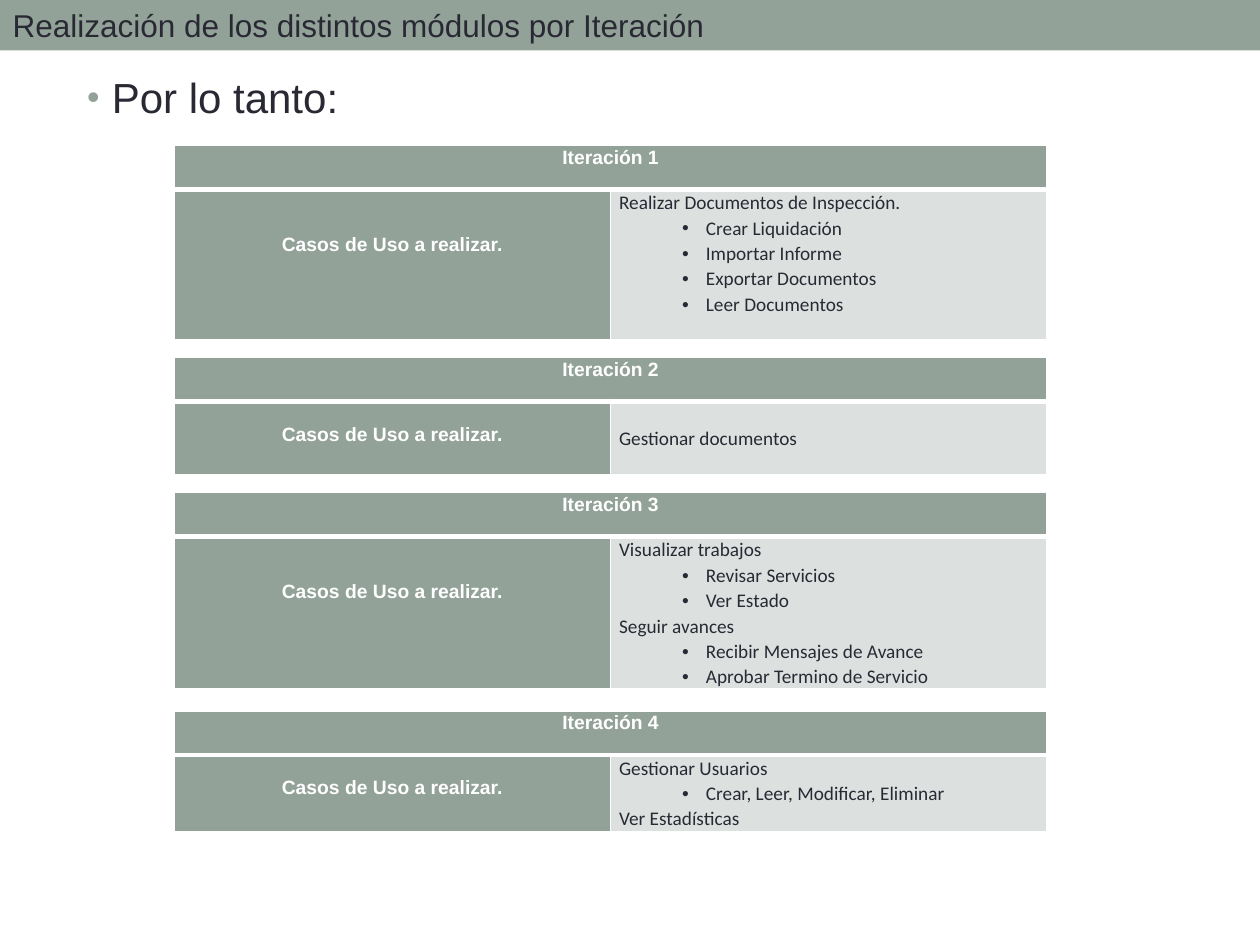
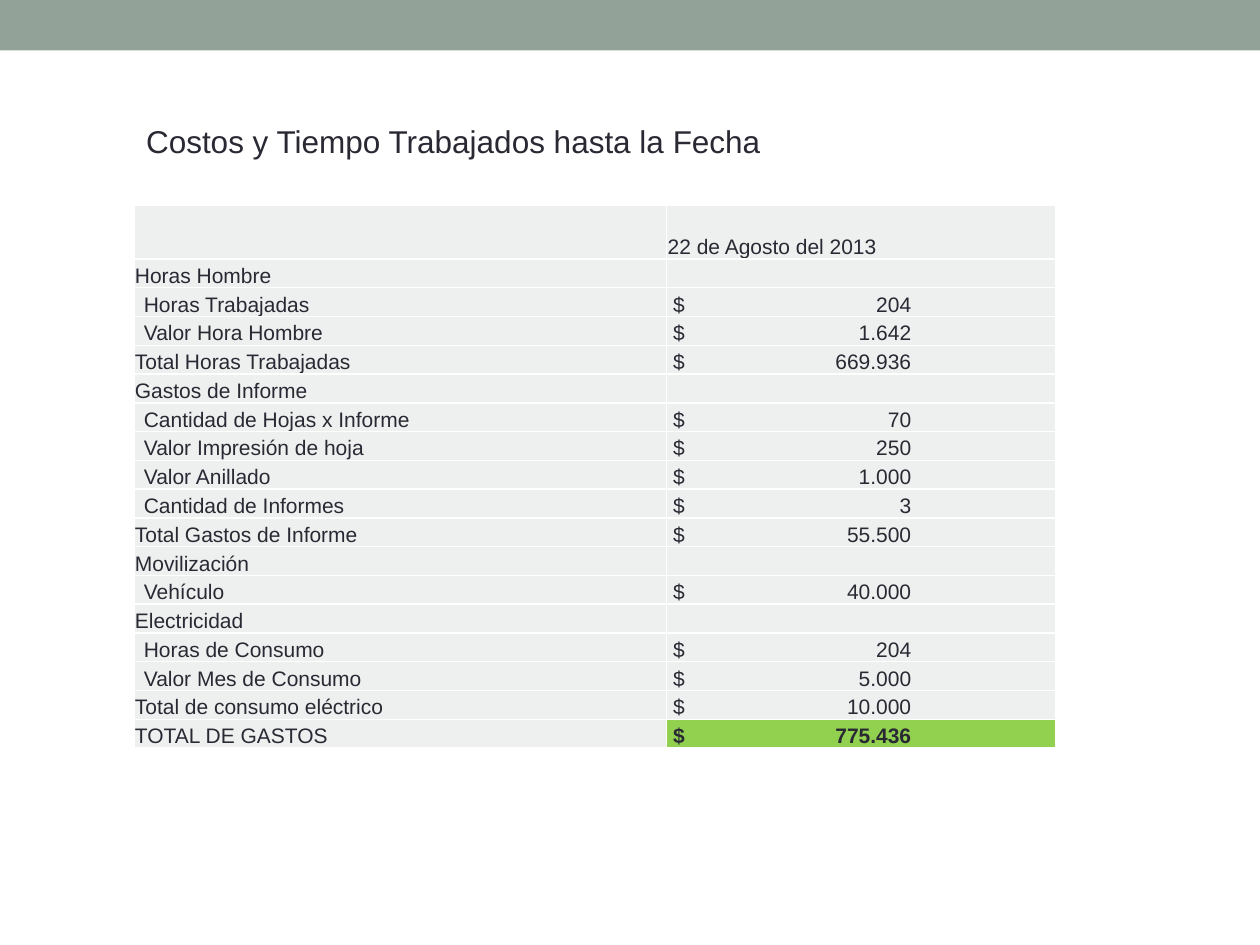
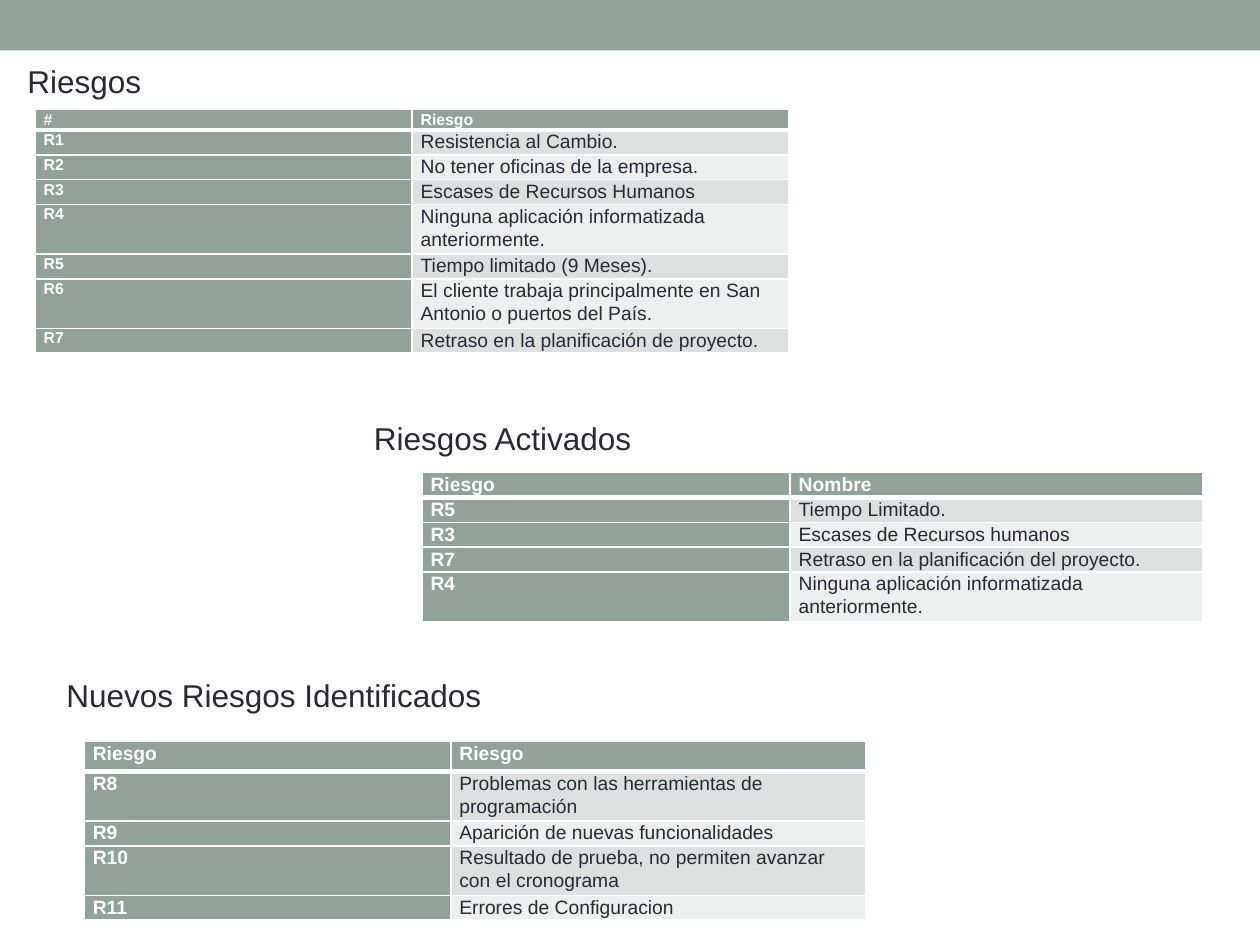
import dataclasses

import lxml.etree
import pptx
import pptx.dml.color
import pptx.enum.shapes
import pptx.enum.text
import pptx.oxml.ns
import pptx.util

Cm = pptx.util.Cm
Pt = pptx.util.Pt
RGB = pptx.dml.color.RGBColor.from_string
qn = pptx.oxml.ns.qn
ALIGN = pptx.enum.text.PP_ALIGN
ANCHOR = pptx.enum.text.MSO_ANCHOR


@dataclasses.dataclass(frozen=True)
class Theme:
    sage: str = "93A299"
    ink: str = "292934"
    white: str = "FFFFFF"
    band_dark: str = "DCE0DE"
    band_light: str = "EEF0EF"
    total: str = "92D050"
    font: str = "Arial"
    list_font: str = "Calibri"
    heading: int = 18
    body: int = 24
    amount: int = 12
    cell: int = 11
    small: int = 9


theme = Theme()


def add_grid(slide, left, top, widths, heights):
    """Add a table with the given column widths and row heights, in cm."""
    table = slide.shapes.add_table(len(heights), len(widths), Cm(left), Cm(top),
                                   Cm(sum(widths)), Cm(sum(heights))).table
    table.first_row = table.horz_banding = False
    for column, width in zip(table.columns, widths):
        column.width = Cm(width)
    for row, height in zip(table.rows, heights):
        row.height = Cm(height)
    return table


def set_cell(cell, text, fill, color=theme.white, size=theme.cell, bold=False,
             font=theme.font, align=ALIGN.LEFT, spacing=1.07, anchor=ANCHOR.TOP,
             margins=(0.17, 0, 0.17, 0), rule=1):
    """Write and format one cell; rule is the width of its bottom border."""
    cell.margin_left, cell.margin_top, cell.margin_right, cell.margin_bottom = map(Cm, margins)
    cell.vertical_anchor = anchor
    cell.fill.solid()
    cell.fill.fore_color.rgb = RGB(fill)
    cell.text_frame.text = text
    for p in cell.text_frame.paragraphs:
        p.alignment = align
        p.line_spacing = spacing
        for r in p.runs:
            r.font.name, r.font.size, r.font.bold = font, Pt(size), bold
            r.font.color.rgb = RGB(color)
        if not p.runs:
            lxml.etree.SubElement(p._p, qn("a:endParaRPr"), sz=str(size * 100))
    tcPr = cell._tc.get_or_add_tcPr()
    for i, (side, width) in enumerate((("lnL", 1), ("lnR", 1), ("lnB", rule))):
        ln = lxml.etree.Element(qn("a:" + side), w=str(Pt(width)))
        solid = lxml.etree.SubElement(ln, qn("a:solidFill"))
        lxml.etree.SubElement(solid, qn("a:srgbClr"), val=theme.white)
        tcPr.insert(i, ln)


# Presentation and slides
prs = pptx.Presentation()
prs.slide_width, prs.slide_height = Cm(25.4), Cm(19.05)
iterations_slide = prs.slides.add_slide(prs.slide_layouts[1])
costs_slide = prs.slides.add_slide(prs.slide_layouts[5])
risks_slide = prs.slides.add_slide(prs.slide_layouts[5])

# Top band, moved to the master so that every slide shares it
band = iterations_slide.shapes.add_shape(
    pptx.enum.shapes.MSO_SHAPE.RECTANGLE, 0, 0, prs.slide_width, Cm(1.02))
band.shadow.inherit = False
band.fill.solid()
band.fill.fore_color.rgb = RGB(theme.sage)
band.line.fill.background()
prs.slide_master.shapes._spTree.insert(2, band._element)

# Headings: slide titles, and text boxes for the further sections
headings = [
    (iterations_slide, True, "Realización de los distintos módulos por Iteración", 0, 0, 14.76),
    (costs_slide, True, "Costos y Tiempo Trabajados hasta la Fecha", 2.69, 2.34, 13),
    (risks_slide, True, "Riesgos", 0.3, 1.12, 2.82),
    (risks_slide, False, "Riesgos Activados", 7.29, 8.33, 5.74),
    (risks_slide, False, "Nuevos Riesgos Identificados", 1.09, 13.51, 8.97),
]
for slide, is_title, text, left, top, width in headings:
    sp = slide.shapes.title if is_title else slide.shapes.add_textbox(0, 0, 0, 0)
    sp.left, sp.top, sp.width, sp.height = Cm(left), Cm(top), Cm(width), Cm(1.02)
    tf = sp.text_frame
    tf.text = text
    tf.word_wrap = False
    tf.auto_size = pptx.enum.text.MSO_AUTO_SIZE.SHAPE_TO_FIT_TEXT
    tf.vertical_anchor = ANCHOR.TOP
    p = tf.paragraphs[0]
    p.alignment = ALIGN.LEFT
    font = p.runs[0].font
    font.name, font.size = theme.font, Pt(theme.heading)
    font.color.rgb = RGB(theme.ink)

# Slide 1: body line
sp = iterations_slide.placeholders[1]
sp.left, sp.top, sp.width, sp.height = Cm(1.5), Cm(1.32), Cm(22.86), Cm(13.54)
sp.text_frame.text = "Por lo tanto:"
p = sp.text_frame.paragraphs[0]
font = p.runs[0].font
font.name, font.size = theme.font, Pt(theme.body)
font.color.rgb = RGB(theme.ink)
bullets = [(p, 0.5, 0.5, theme.sage, 85)]

# Slide 1: one table per iteration; nested use cases are marked True
# top, height of the lower row, label offset, list offset, use cases
iterations = [
    (2.93, 3.02, 0.86, 0, [
        (False, "Realizar Documentos de Inspección."),
        (True, "Crear Liquidación"),
        (True, "Importar Informe"),
        (True, "Exportar Documentos"),
        (True, "Leer Documentos")]),
    (7.2, 1.48, 0.42, 0.49, [
        (False, "Gestionar documentos")]),
    (9.93, 3.02, 0.86, 0, [
        (False, "Visualizar trabajos"),
        (True, "Revisar Servicios"),
        (True, "Ver Estado"),
        (False, "Seguir avances"),
        (True, "Recibir Mensajes de Avance"),
        (True, "Aprobar Termino de Servicio")]),
    (14.33, 1.48, 0.42, 0, [
        (False, "Gestionar Usuarios"),
        (True, "Crear, Leer, Modificar, Eliminar"),
        (False, "Ver Estadísticas")]),
]
for number, (top, height, label_offset, list_offset, cases) in enumerate(iterations, 1):
    table = add_grid(iterations_slide, 3.51, top, [8.8, 8.8], [0.89, height])
    table.cell(0, 0).merge(table.cell(0, 1))
    set_cell(table.cell(0, 0), f"Iteración {number}", theme.sage, bold=True,
             align=ALIGN.CENTER, rule=3)
    set_cell(table.cell(1, 0), "Casos de Uso a realizar.", theme.sage, bold=True,
             align=ALIGN.CENTER, margins=(0.17, label_offset, 0.17, 0))
    cell = table.cell(1, 1)
    set_cell(cell, "\n".join(case for nested, case in cases), theme.band_dark, theme.ink,
             font=theme.list_font, margins=(0.17, list_offset, 0.17, 0))
    for p, (nested, case) in zip(cell.text_frame.paragraphs, cases):
        if nested:
            bullets.append((p, 1.75, 0.48, theme.ink, 100))

# Slide 1: bullets of the body line and of the nested use cases
for p, indent, hang, color, percent in bullets:
    pPr = p._p.get_or_add_pPr()
    pPr.set("marL", str(Cm(indent)))
    pPr.set("indent", str(-Cm(hang)))
    buClr = lxml.etree.SubElement(pPr, qn("a:buClr"))
    lxml.etree.SubElement(buClr, qn("a:srgbClr"), val=color)
    lxml.etree.SubElement(pPr, qn("a:buSzPct"), val=str(percent * 1000))
    lxml.etree.SubElement(pPr, qn("a:buFont"), typeface=theme.font)
    lxml.etree.SubElement(pPr, qn("a:buChar"), char="•")

# Slide 2: costs; items are indented below their group
costs = [
    (False, "", "22 de Agosto del 2013"),
    (False, "Horas Hombre", ""),
    (True, "Horas Trabajadas", "204"),
    (True, "Valor Hora Hombre", "1.642"),
    (False, "Total Horas Trabajadas", "669.936"),
    (False, "Gastos de Informe", ""),
    (True, "Cantidad de Hojas x Informe", "70"),
    (True, "Valor Impresión de hoja", "250"),
    (True, "Valor Anillado", "1.000"),
    (True, "Cantidad de Informes", "3"),
    (False, "Total Gastos de Informe", "55.500"),
    (False, "Movilización", ""),
    (True, "Vehículo", "40.000"),
    (False, "Electricidad", ""),
    (True, "Horas de Consumo", "204"),
    (True, "Valor Mes de Consumo", "5.000"),
    (False, "Total de consumo eléctrico", "10.000"),
    (False, "TOTAL DE GASTOS", "775.436"),
]
table = add_grid(costs_slide, 2.7, 4.13, [10.74, 7.85], [1.09] + [0.58] * (len(costs) - 1))
for row, (is_item, label, amount) in enumerate(costs):
    is_money = row > 0 and amount != ""
    is_total = row == len(costs) - 1
    shared = dict(color=theme.ink, size=theme.amount, spacing=1.0, anchor=ANCHOR.BOTTOM)
    set_cell(table.cell(row, 0), label, theme.band_light,
             margins=(0.2 if is_item else 0.02, 0.02, 0.02, 0), **shared)
    cell = table.cell(row, 1)
    set_cell(cell, "$\t" + amount if is_money else amount,
             theme.total if is_total else theme.band_light, bold=is_total,
             margins=(0.13 if is_money else 0.02, 0.02, 0.02, 0), **shared)
    if is_money:
        pPr = cell.text_frame.paragraphs[0]._p.get_or_add_pPr()
        tabs = lxml.etree.SubElement(pPr, qn("a:tabLst"))
        lxml.etree.SubElement(tabs, qn("a:tab"), pos=str(Cm(4.8)), algn="r")

# Slide 3: risk tables; each row holds code, text and number of lines
# left, top, column widths, header height, code size, rows
risk_tables = [
    (0.71, 2.21, [7.6, 7.6], 0.41, theme.small, [
        ("#", "Riesgo", 1),
        ("R1", "Resistencia al Cambio.", 1),
        ("R2", "No tener oficinas de la empresa.", 1),
        ("R3", "Escases de Recursos Humanos", 1),
        ("R4", "Ninguna aplicación informatizada anteriormente.", 2),
        ("R5", "Tiempo limitado (9 Meses).", 1),
        ("R6", "El cliente trabaja principalmente en San Antonio o puertos del País.", 2),
        ("R7", "Retraso en la planificación de proyecto.", 1)]),
    (8.51, 9.53, [7.42, 8.31], 0.5, theme.cell, [
        ("Riesgo", "Nombre", 1),
        ("R5", "Tiempo Limitado.", 1),
        ("R3", "Escases de Recursos humanos", 1),
        ("R7", "Retraso en la planificación del proyecto.", 1),
        ("R4", "Ninguna aplicación informatizada anteriormente.", 2)]),
    (1.7, 14.94, [7.39, 8.36], 0.61, theme.cell, [
        ("Riesgo", "Riesgo", 1),
        ("R8", "Problemas con las herramientas de programación", 2),
        ("R9", "Aparición de nuevas funcionalidades", 1),
        ("R10", "Resultado de prueba, no permiten avanzar con el cronograma", 2),
        ("R11", "Errores de Configuracion", 1)]),
]
for left, top, widths, header_height, code_size, risks in risk_tables:
    heights = [header_height] + [0.5 * lines for code, text, lines in risks[1:]]
    table = add_grid(risks_slide, left, top, widths, heights)
    for row, (code, text, lines) in enumerate(risks):
        rule = 1 if row else 3
        set_cell(table.cell(row, 0), code, theme.sage, size=code_size, bold=True, rule=rule)
        if row == 0:
            set_cell(table.cell(row, 1), text, theme.sage, size=code_size, bold=True, rule=rule)
        else:
            fill = theme.band_dark if row % 2 else theme.band_light
            set_cell(table.cell(row, 1), text, fill, theme.ink, rule=rule)

prs.save("out.pptx")
